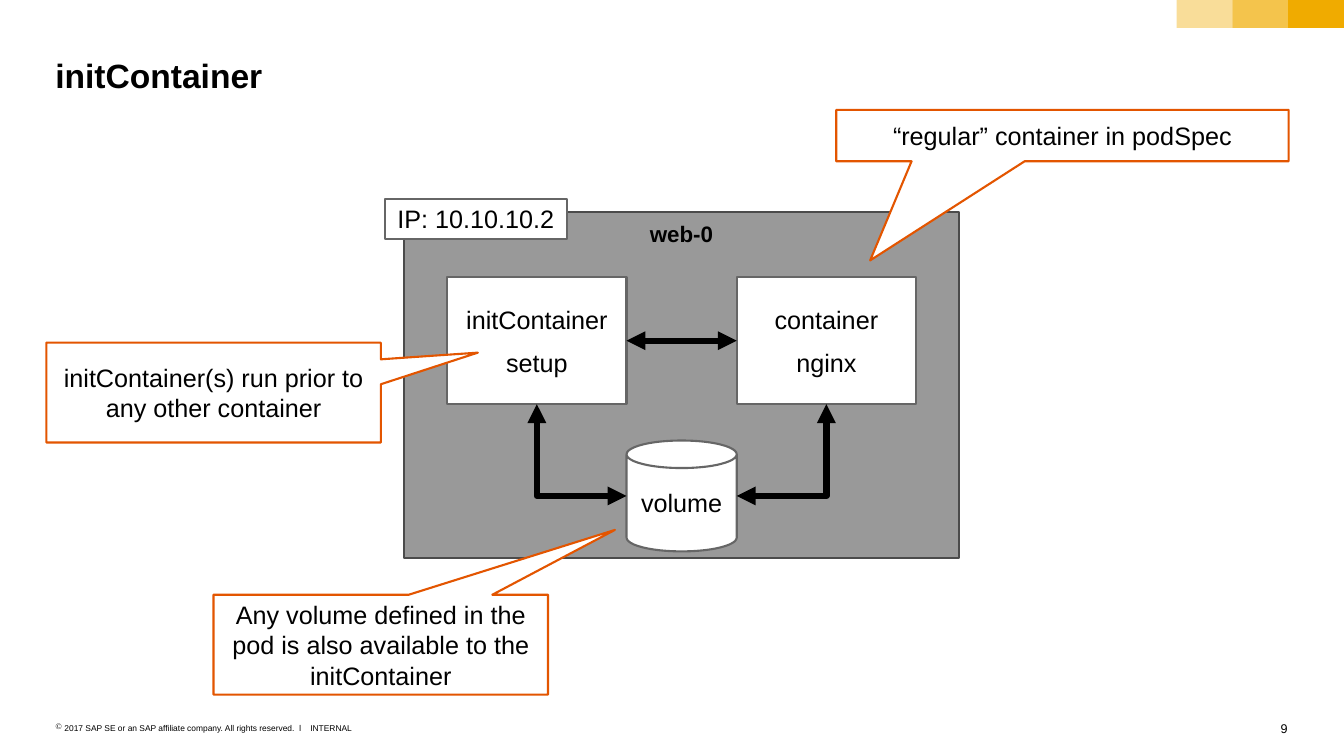
from dataclasses import dataclass

from lxml.etree import SubElement
from pptx import Presentation
from pptx.dml.color import RGBColor
from pptx.enum.shapes import MSO_CONNECTOR, MSO_SHAPE
from pptx.enum.text import MSO_ANCHOR, PP_ALIGN
from pptx.oxml.ns import qn
from pptx.util import Emu, Inches, Pt

BLACK = RGBColor(0x00, 0x00, 0x00)
WHITE = RGBColor(0xFF, 0xFF, 0xFF)
GOLD = RGBColor(0xF0, 0xAB, 0x00)
ORANGE = RGBColor(0xE3, 0x55, 0x00)
POD_GRAY = RGBColor(0x99, 0x99, 0x99)
POD_EDGE = RGBColor(0x4B, 0x4B, 0x4B)
BOX_EDGE = RGBColor(0x66, 0x66, 0x66)

WIDTH, HEIGHT = Inches(13.34), Inches(7.5)
BOX_INSETS = {"margin_left": Inches(0.1), "margin_right": Inches(0.1),
              "margin_top": Inches(0.08), "margin_bottom": Inches(0.08)}
NO_INSETS = dict.fromkeys(BOX_INSETS, 0)


# All places and sizes are percentages of the slide's width and height.
@dataclass(frozen=True)
class Area:
    x: float
    y: float
    w: float
    h: float

    @property
    def right(self) -> float:
        return self.x + self.w

    @property
    def bottom(self) -> float:
        return self.y + self.h

    @property
    def mid_x(self) -> float:
        return self.x + self.w / 2

    @property
    def mid_y(self) -> float:
        return self.y + self.h / 2


@dataclass(frozen=True)
class Box:
    area: Area
    lines: tuple[str, ...] = ()
    kind: MSO_SHAPE = MSO_SHAPE.RECTANGLE
    fill: RGBColor = WHITE
    edge: RGBColor | None = BOX_EDGE
    opacity: int = 100
    size: int = 18
    bold: bool = False
    anchor: MSO_ANCHOR = MSO_ANCHOR.MIDDLE
    pointer: tuple[float, ...] = ()


@dataclass(frozen=True)
class Label:
    area: Area
    text: str
    size: int
    bold: bool = False
    align: PP_ALIGN = PP_ALIGN.LEFT
    wrap: bool = True
    bullet: str = ""


@dataclass(frozen=True)
class Arrow:
    start: tuple[float, float]
    end: tuple[float, float]
    preset: str = "line"


def across(share: float) -> Emu:
    return Emu(round(WIDTH * share / 100))


def down(share: float) -> Emu:
    return Emu(round(HEIGHT * share / 100))


def place(area: Area) -> tuple[Emu, Emu, Emu, Emu]:
    return across(area.x), down(area.y), across(area.w), down(area.h)


def set_all(target, values: dict) -> None:
    for name, value in values.items():
        setattr(target, name, value)


def write(p, text: str, size: int, bold: bool) -> None:
    r = p.add_run()
    r.text = text
    set_all(r.font, {"name": "Arial", "size": Pt(size), "bold": bold})
    r.font.color.rgb = BLACK


def draw_box(s, box: Box) -> None:
    sp = s.shapes.add_shape(box.kind, *place(box.area))
    sp.shadow.inherit = False
    sp.fill.solid()
    sp.fill.fore_color.rgb = box.fill
    if box.opacity < 100:
        color = sp.fill._xPr.find(f".//{qn('a:srgbClr')}")
        SubElement(color, qn("a:alpha"), val=str(box.opacity * 1000))
    if box.edge is None:
        sp.line.fill.background()
    else:
        sp.line.color.rgb = box.edge
        sp.line.width = Pt(1.5)
    for i, value in enumerate(box.pointer):
        sp.adjustments[i] = value
    tf = sp.text_frame
    set_all(tf, {**BOX_INSETS, "word_wrap": True, "vertical_anchor": box.anchor})
    for i, line in enumerate(box.lines):
        p = tf.add_paragraph() if i else tf.paragraphs[0]
        p.alignment = PP_ALIGN.CENTER
        if i:
            p.space_before = Pt(box.size / 2)
        write(p, line, box.size, box.bold)


def draw_label(s, label: Label) -> None:
    tf = s.shapes.add_textbox(*place(label.area)).text_frame
    set_all(tf, {**NO_INSETS, "word_wrap": label.wrap})
    p = tf.paragraphs[0]
    p.alignment = label.align
    if label.bullet:
        pPr = p._p.get_or_add_pPr()
        pPr.set("marL", str(Inches(0.09)))
        pPr.set("indent", str(-Inches(0.09)))
        SubElement(pPr, qn("a:buChar"), char=label.bullet)
    write(p, label.text, label.size, label.bold)


def draw_arrow(s, arrow: Arrow) -> None:
    (x1, y1), (x2, y2) = arrow.start, arrow.end
    cxn = s.shapes.add_connector(MSO_CONNECTOR.STRAIGHT, across(x1), down(y1),
                                 across(x2), down(y2))
    cxn.line.color.rgb = BLACK
    cxn.line.width = Pt(4.5)
    spPr = cxn._element.spPr
    spPr.find(qn("a:prstGeom")).set("prst", arrow.preset)
    ln = spPr.find(qn("a:ln"))
    for end in ("a:headEnd", "a:tailEnd"):
        SubElement(ln, qn(end), type="triangle")
    SubElement(spPr, qn("a:effectLst"))


# Corner bars, fading to the left
BAR_W = 4.15
bars = [Box(Area(100 - BAR_W * (i + 1), 0, BAR_W, 3.68), fill=GOLD, edge=None,
            opacity=opacity) for i, opacity in enumerate((100, 70, 40))]

# Title and footer
labels = [
    Label(Area(4.12, 7.33, 91.68, 5.33), "initContainer", 24, bold=True),
    Label(Area(4.12, 95.6, 18.59, 1.33),
          "2017 SAP SE or an SAP affiliate company. All rights reserved.  ǀ",
          6, bullet="©"),
    Label(Area(23.09, 95.6, 3.15, 1.33), "INTERNAL", 6, wrap=False),
    Label(Area(94.68, 95.33, 1.12, 2), "9", 9, align=PP_ALIGN.RIGHT),
]

# Pod: two containers with the volume filling the gap between them
init = Area(33.28, 36.67, 13.34, 16.8)
volume = Area(init.right, 58.27, 8.2, 14.67)
nginx = Area(volume.right, init.y, init.w, init.h)
pod = [
    Box(Area(30.06, 28, 41.3, 45.87), ("web-0",), fill=POD_GRAY, edge=POD_EDGE,
        size=16, bold=True, anchor=MSO_ANCHOR.TOP),
    Box(Area(28.64, 26.27, 13.53, 5.33), ("IP: 10.10.10.2",)),
    Box(init, ("initContainer", "setup")),
    Box(volume, ("volume",), MSO_SHAPE.CAN),
    Box(nginx, ("container", "nginx")),
]
arrows = [
    Arrow((volume.x, volume.mid_y), (init.mid_x, init.bottom), "bentConnector2"),
    Arrow((volume.right, volume.mid_y), (nginx.mid_x, nginx.bottom),
          "bentConnector2"),
    Arrow((nginx.x, nginx.mid_y), (init.right, init.mid_y)),
]

# Callouts
callouts = [
    Box(area, (text,), MSO_SHAPE.RECTANGULAR_CALLOUT, edge=ORANGE, pointer=pointer)
    for area, text, pointer in (
        (Area(62.22, 14.53, 33.66, 6.8), "“regular” container in podSpec",
         (-0.425, 2.43)),
        (Area(3.45, 45.33, 24.89, 13.2),
         "initContainer(s) run prior to any other container", (0.79, -0.4)),
        (Area(15.89, 78.67, 24.89, 13.2),
         "Any volume defined in the pod is also available to the initContainer",
         (0.7, -1.15)),
    )
]


def main() -> None:
    prs = Presentation()
    set_all(prs, {"slide_width": WIDTH, "slide_height": HEIGHT})
    s = prs.slides.add_slide(prs.slide_layouts[6])
    for label in labels:
        draw_label(s, label)
    for box in bars + pod:
        draw_box(s, box)
    for arrow in arrows:
        draw_arrow(s, arrow)
    for callout in callouts:
        draw_box(s, callout)
    prs.save("out.pptx")


if __name__ == "__main__":
    main()
